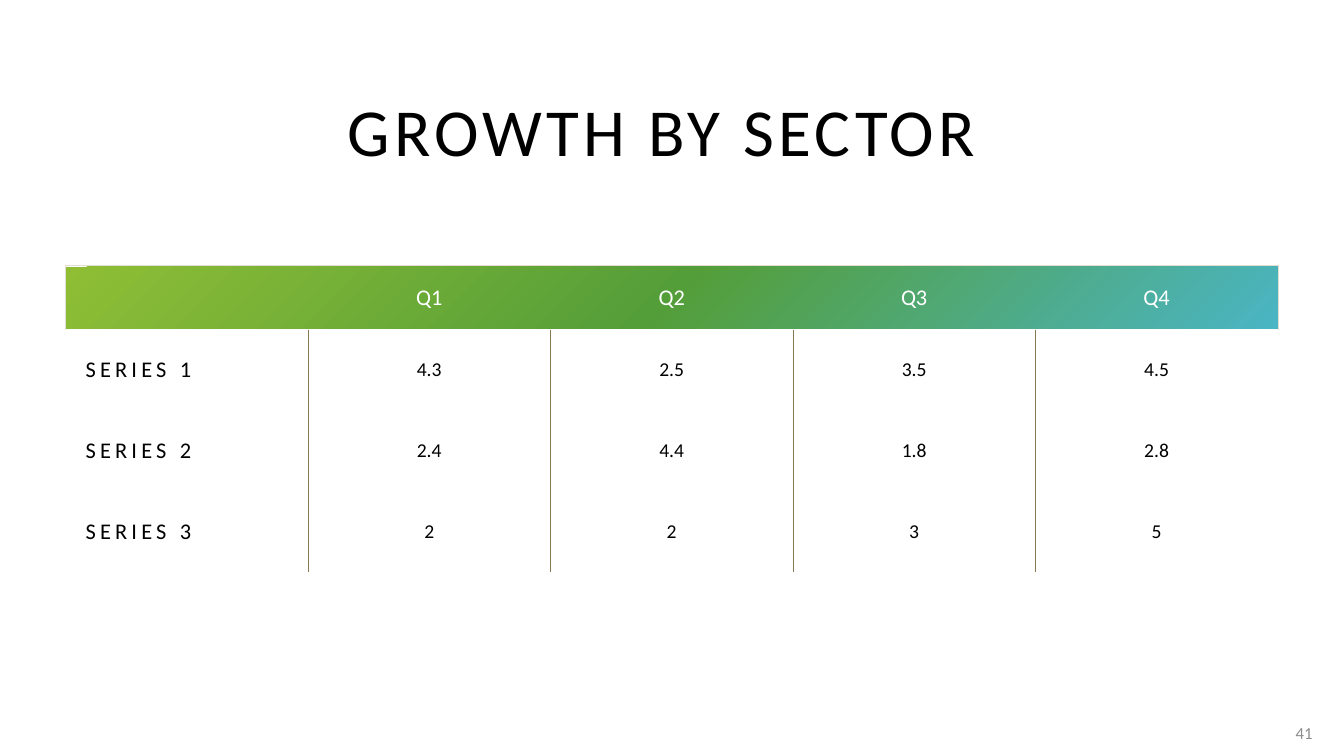
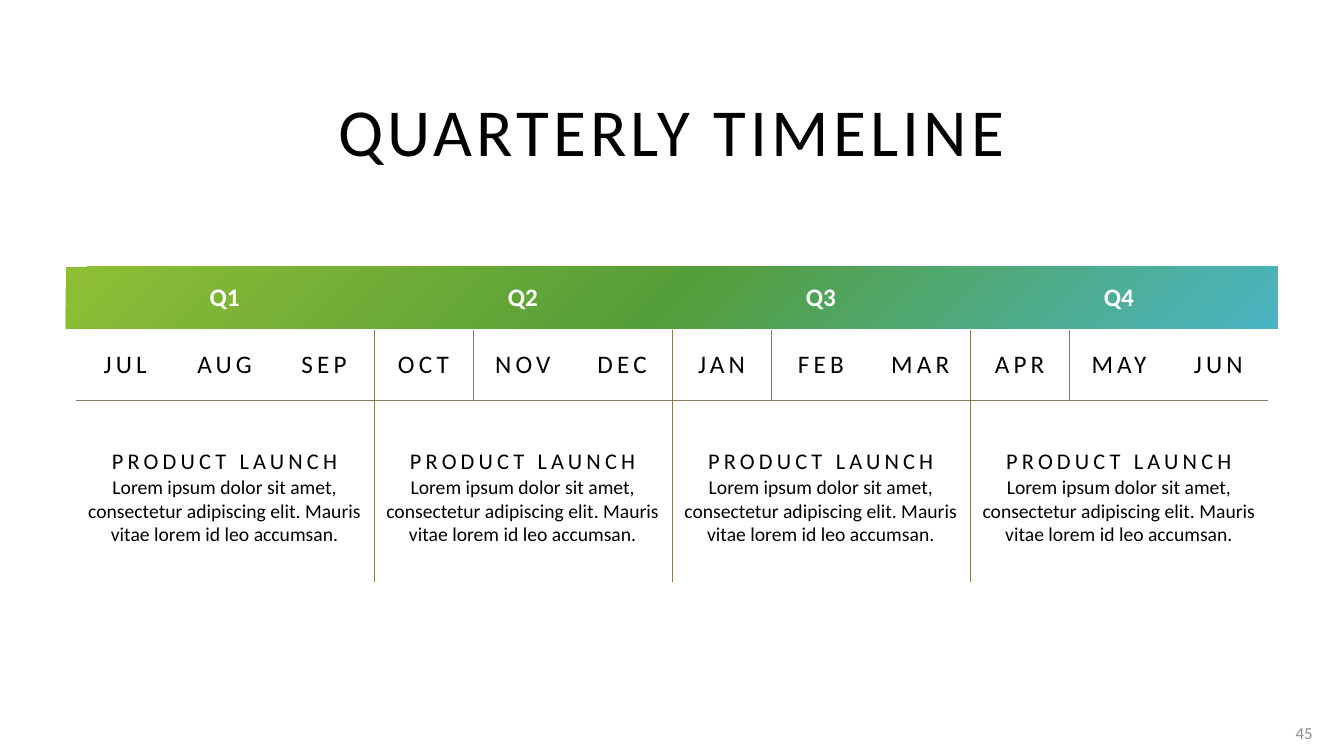
from pptx import Presentation
from pptx import util as u
from pptx.dml.color import RGBColor
from pptx.enum import shapes, text
from pptx.oxml import parse_xml
from pptx.oxml.ns import nsdecls, qn

BLACK = RGBColor(0x00, 0x00, 0x00)
WHITE = RGBColor(0xFF, 0xFF, 0xFF)
GRAY = RGBColor(0x8C, 0x8C, 0x8C)
RULE = RGBColor(0x88, 0x79, 0x52)
PALE = RGBColor(0xE3, 0xDE, 0xD1)
BLUE = RGBColor(0x4A, 0xB5, 0xC4)
GREEN = RGBColor(0x54, 0x9E, 0x39)
LIME = RGBColor(0x8F, 0xBE, 0x35)

FONT = "Calibri"
NO_STYLE = "{2D5ABB26-0587-4C30-8999-92F81FD0307C}"
TRACKING = 3
HEADER_HEIGHT = 46

TITLE_BOX = (46.8, 60.5, 866, 64.8)
BAND_BOX = (46.8, 190.4, 866, 44)
NUMBER_BOX = (909.4, 509, 35.3, 28.8)
GROWTH_BOX = (46.8, 189.4, 866, 219)
TIMELINE_BOX = (54, 189.4, 852, 226)

QUARTERS = ["Q1", "Q2", "Q3", "Q4"]
MONTHS = ["JUL", "AUG", "SEP", "OCT", "NOV", "DEC",
          "JAN", "FEB", "MAR", "APR", "MAY", "JUN"]
SERIES = [
    ("SERIES 1", "4.3", "2.5", "3.5", "4.5"),
    ("SERIES 2", "2.4", "4.4", "1.8", "2.8"),
    ("SERIES 3", "2", "2", "3", "5"),
]
EVENT = "PRODUCT LAUNCH"
EVENT_TEXT = ("Lorem ipsum dolor sit amet, consectetur adipiscing elit. "
              "Mauris vitae lorem id leo accumsan.")


def points(box):
    """Turn a box of numbers into lengths."""
    return [u.Pt(value) for value in box]


def write(paragraph, wording, size, color=BLACK, align=text.PP_ALIGN.CENTER,
          tracking=0, bold=False):
    """Fill and style one paragraph."""
    paragraph.text = wording
    paragraph.alignment = align
    font = paragraph.font
    font.name, font.size, font.bold = FONT, u.Pt(size), bold
    font.color.rgb = color
    if tracking:
        defaults = paragraph._p.pPr.find(qn("a:defRPr"))
        defaults.set("spc", str(tracking * 100))


def add_label(slide, box, wording, size, **style):
    """Add a one-paragraph text box, centred vertically."""
    frame = slide.shapes.add_textbox(*points(box)).text_frame
    frame.word_wrap = True
    frame.vertical_anchor = text.MSO_ANCHOR.MIDDLE
    write(frame.paragraphs[0], wording, size, **style)


def add_band(slide, box):
    """Add the header band, shaded outward from its bottom right corner."""
    band = slide.shapes.add_shape(shapes.MSO_SHAPE.RECTANGLE, *points(box))
    band.shadow.inherit = False
    band.line.fill.background()
    stops = "".join(
        f'<a:gs pos="{index * 50000}"><a:srgbClr val="{color}"/></a:gs>'
        for index, color in enumerate((BLUE, GREEN, LIME)))
    gradient = parse_xml(
        f'<a:gradFill {nsdecls("a")} rotWithShape="1"><a:gsLst>{stops}</a:gsLst>'
        '<a:path path="circle"><a:fillToRect l="100000" t="100000"/></a:path>'
        '</a:gradFill>')
    band._element.spPr.find(qn("a:prstGeom")).addnext(gradient)


def set_borders(cell, sides, color=RULE, width=0.25):
    """Draw the named sides of a cell, given in the order L, R, T, B."""
    properties = cell._tc.get_or_add_tcPr()
    for index, side in enumerate(sides):
        properties.insert(index, parse_xml(
            f'<a:ln{side} {nsdecls("a")} w="{u.Pt(width)}"><a:solidFill>'
            f'<a:srgbClr val="{color}"/></a:solidFill></a:ln{side}>'))


def add_clear_table(slide, box, columns, row_heights):
    """Add a table without fills or style, in equal columns."""
    frame = slide.shapes.add_table(len(row_heights), columns, *points(box))
    table = frame.table
    table.first_row = table.horz_banding = False
    table._tbl.tblPr.find(qn("a:tableStyleId")).text = NO_STYLE
    for column in table.columns:
        column.width = u.Pt(box[2] / columns)
    for row, height in zip(table.rows, row_heights):
        row.height = u.Pt(height)
    for cell in table.iter_cells():
        cell.fill.background()
        cell.vertical_anchor = text.MSO_ANCHOR.MIDDLE
    return table


def add_growth_table(slide, box):
    """Add the table of values by series and quarter."""
    row_height = (box[3] - HEADER_HEIGHT) / len(SERIES)
    heights = [HEADER_HEIGHT] + [row_height] * len(SERIES)
    table = add_clear_table(slide, box, len(QUARTERS) + 1, heights)
    for index, quarter in enumerate([""] + QUARTERS):
        cell = table.cell(0, index)
        write(cell.text_frame.paragraphs[0], quarter, 16, WHITE)
        sides = {0: "LT", len(QUARTERS): "RT"}.get(index, "T")
        set_borders(cell, sides, PALE, 0.5)
    for row, (name, *values) in enumerate(SERIES, 1):
        heading = table.cell(row, 0)
        heading.margin_left = u.Pt(14.4)
        write(heading.text_frame.paragraphs[0], name, 16,
              align=text.PP_ALIGN.LEFT, tracking=TRACKING)
        for column, value in enumerate(values, 1):
            cell = table.cell(row, column)
            write(cell.text_frame.paragraphs[0], value, 14)
            set_borders(cell, "L")


def add_timeline_table(slide, box):
    """Add the table of quarters, months and events."""
    month_height = 50.4
    heights = [HEADER_HEIGHT, month_height, box[3] - HEADER_HEIGHT - month_height]
    table = add_clear_table(slide, box, len(MONTHS), heights)
    span = len(MONTHS) // len(QUARTERS)
    for column, month in enumerate(MONTHS):
        cell = table.cell(1, column)
        write(cell.text_frame.paragraphs[0], month, 18, tracking=TRACKING)
        set_borders(cell, "LB" if column and column % span == 0 else "B")
    for index, quarter in enumerate(QUARTERS):
        first = index * span
        header, event = table.cell(0, first), table.cell(2, first)
        for row, cell in ((0, header), (2, event)):
            cell.merge(table.cell(row, first + span - 1))
        write(header.text_frame.paragraphs[0], quarter, 18, WHITE, bold=True)
        heading = event.text_frame.paragraphs[0]
        heading.line_spacing = 1.5
        write(heading, EVENT, 16, tracking=TRACKING)
        write(event.text_frame.add_paragraph(), EVENT_TEXT, 14)
        set_borders(event, "LT" if index else "T")


def add_table_slide(presentation, title, number, add_table, box):
    """Add a slide with a title, band, table and slide number."""
    slide = presentation.slides.add_slide(presentation.slide_layouts[6])
    add_band(slide, BAND_BOX)
    add_label(slide, TITLE_BOX, title, 48, tracking=TRACKING)
    add_table(slide, box)
    add_label(slide, NUMBER_BOX, number, 12, color=GRAY,
              align=text.PP_ALIGN.RIGHT)


def main():
    """Build and save the presentation."""
    presentation = Presentation()
    presentation.slide_width = u.Pt(960)
    presentation.slide_height = u.Pt(540)
    add_table_slide(presentation, "GROWTH BY SECTOR ", "41",
                    add_growth_table, GROWTH_BOX)
    add_table_slide(presentation, "QUARTERLY TIMELINE", "45",
                    add_timeline_table, TIMELINE_BOX)
    presentation.save("out.pptx")


if __name__ == "__main__":
    main()
